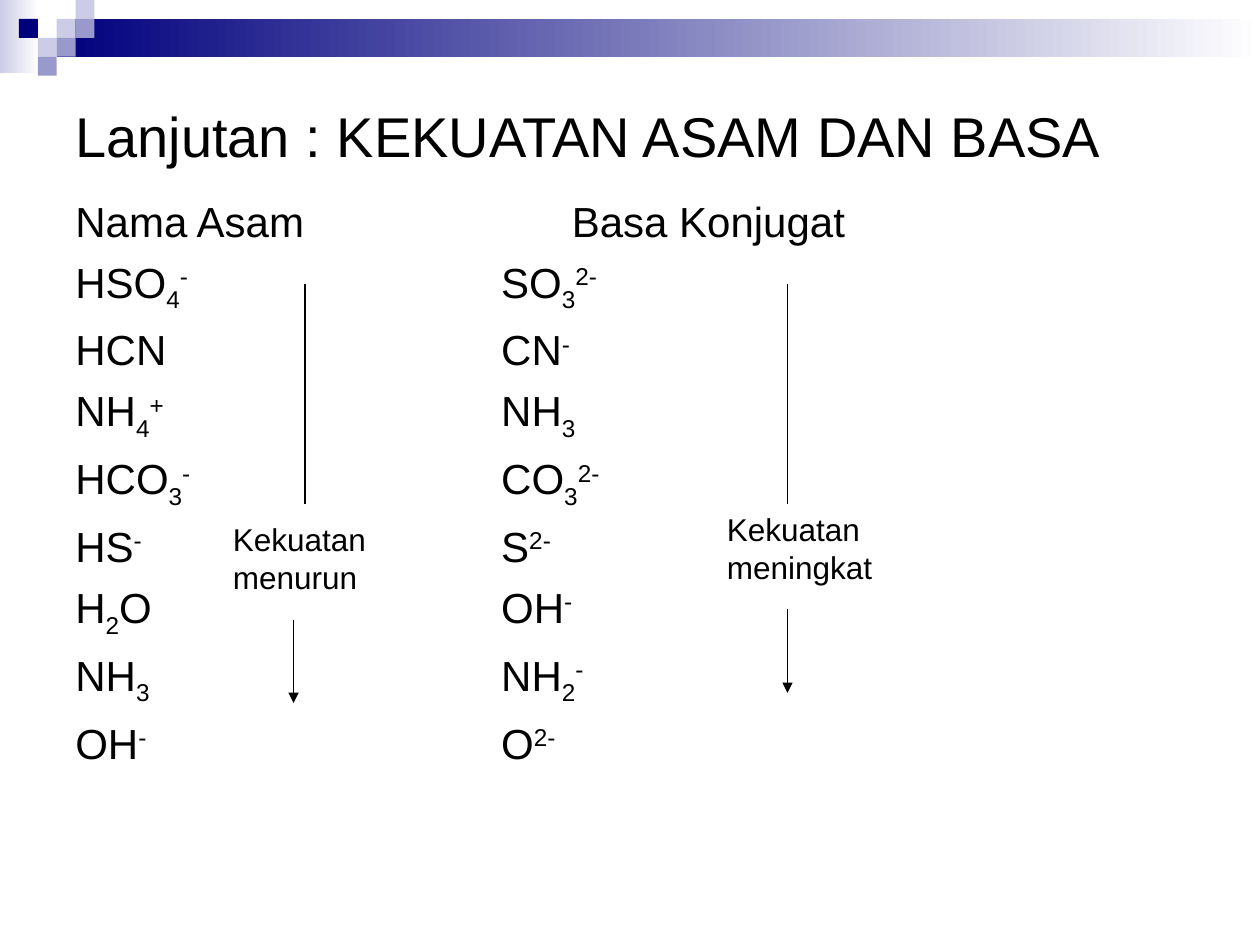
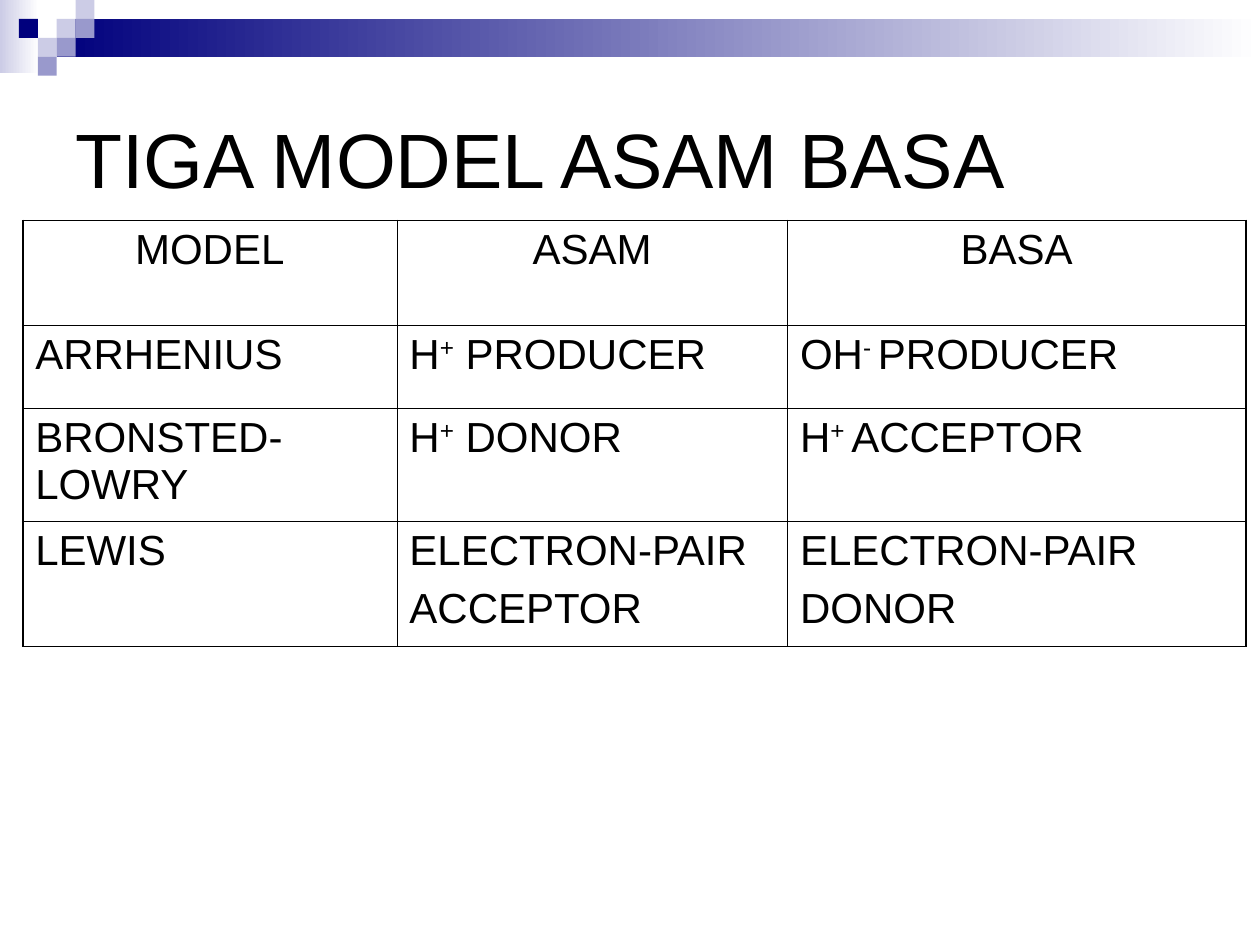
from lxml import etree
from pptx import Presentation, util as u
from pptx.dml.color import RGBColor
from pptx.enum import shapes, text
from pptx.oxml.ns import qn

FONT = "Arial"
COLOURS = {"ink": "000000", "paper": "FFFFFF", "navy": "00007D", "mid": "9999CC", "pale": "CCCCE6"}
SQUARE = 0.15
BANDS = [((0, 0, 0.31, 0.58), "pale"), ((0.45, 0.15, 9.55, 0.3), "navy")]
SQUARES = [(3, 1, "pale"), (4, 0, "pale"), (4, 1, "mid"), (2, 2, "pale"),
           (1, 1, "navy"), (3, 2, "mid"), (2, 3, "mid")]

# "|" separates spans; a leading "_" lowers a span and "^" raises it.
STRENGTH_TITLE = "Lanjutan : KEKUATAN ASAM DAN BASA"
STRENGTH_HEADS = ("Nama Asam", "Basa Konjugat")
PAIRS = [
    ("HSO|_4|^-", "SO|_3|^2-"),
    ("HCN", "CN|^-"),
    ("NH|_4|^+", "NH|_3"),
    ("HCO|_3|^-", "CO|_3|^2-"),
    ("HS|^-", "S|^2-"),
    ("H|_2|O", "OH|^-"),
    ("NH|_3", "NH|_2|^-"),
    ("OH|^-", "O|^2-"),
]
HEAD_TAB, PAIR_TAB = 3.94, 3.38
TRENDS = [
    {"label": "Kekuatan menurun", "box": (1.75, 4.08, 1.33, 0.7),
     "stem": (2.42, 2.25, 4), "arrow": (2.33, 4.92, 5.58)},
    {"label": "Kekuatan meningkat", "box": (5.67, 4, 1.58, 0.7),
     "stem": (6.25, 2.25, 4), "arrow": (6.25, 4.83, 5.5)},
]

MODELS_TITLE = "TIGA MODEL ASAM BASA"
MODELS = [
    ("MODEL", "ASAM", "BASA"),
    ("ARRHENIUS", "H|^+| PRODUCER", "OH|^- |PRODUCER"),
    ("BRONSTED-LOWRY", "H|^+| DONOR", "H|^+ |ACCEPTOR"),
    ("LEWIS", "ELECTRON-PAIR\nACCEPTOR", "ELECTRON-PAIR\nDONOR"),
]
COLUMN_WIDTHS = (2.97, 3.1, 3.64)
ROW_HEIGHTS = (0.83, 0.66, 0.9, 0.99)
INNER_LINE, OUTER_LINE = 0.45, 1.08


def colour(name):
    return RGBColor.from_string(COLOURS[name])


def inches(values):
    return [u.Inches(value) for value in values]


def write(frame, lines, size, **para_format):
    for index, line in enumerate(lines):
        para = frame.paragraphs[0] if index == 0 else frame.add_paragraph()
        for name, value in para_format.items():
            setattr(para, name, value)
        for part in line.split("|"):
            shift = {"_": "-25000", "^": "30000"}.get(part[:1])
            span = para.add_run()
            span.text = part[1:] if shift else part
            for name, value in {"name": FONT, "size": u.Pt(size)}.items():
                setattr(span.font, name, value)
            span.font.color.rgb = colour("ink")
            if shift:
                span.font._element.set("baseline", shift)


def add_text(page, place, lines, size, anchor=text.MSO_ANCHOR.TOP, **para_format):
    frame = page.shapes.add_textbox(*inches(place)).text_frame
    for name, value in {"word_wrap": True, "vertical_anchor": anchor}.items():
        setattr(frame, name, value)
    write(frame, lines, size, **para_format)
    return frame


def add_rectangle(page, place):
    box = page.shapes.add_shape(shapes.MSO_SHAPE.RECTANGLE, *inches(place))
    box.shadow.inherit = False
    box.line.fill.background()
    return box


def add_page(deck, title, height, size):
    page = deck.slides.add_slide(deck.slide_layouts[6])
    for place, start in BANDS:
        fill = add_rectangle(page, place).fill
        fill.gradient()
        fill.gradient_angle = 0
        for stop, name, position in zip(fill.gradient_stops, (start, "paper"), (0, 1)):
            stop.color.rgb = colour(name)
            stop.position = position
    for column, row, name in SQUARES:
        fill = add_rectangle(page, (column * SQUARE, row * SQUARE, SQUARE, SQUARE)).fill
        fill.solid()
        fill.fore_color.rgb = colour(name)
    add_text(page, (0.5, 0.5, 9, height), [title], size, text.MSO_ANCHOR.MIDDLE)
    return page


def add_vertical(page, x, top, bottom, arrowhead=False):
    line = page.shapes.add_connector(shapes.MSO_CONNECTOR.STRAIGHT, *inches((x, top, x, bottom)))
    line.line.color.rgb = colour("ink")
    line.line.width = u.Pt(0.75)
    if arrowhead:
        etree.SubElement(line.line._get_or_add_ln(), qn("a:tailEnd"), type="triangle")
    etree.SubElement(line._element.spPr, qn("a:effectLst"))


def set_tab(para, position):
    tabs = etree.SubElement(para._p.get_or_add_pPr(), qn("a:tabLst"))
    etree.SubElement(tabs, qn("a:tab"), pos=str(u.Inches(position)), algn="l")


def set_borders(cell, widths):
    properties = cell._tc.get_or_add_tcPr()
    for index, (side, width) in enumerate(widths.items()):
        line = etree.Element(qn(f"a:ln{side}"), w=str(u.Pt(width)))
        fill = etree.SubElement(line, qn("a:solidFill"))
        etree.SubElement(fill, qn("a:srgbClr"), val=COLOURS["ink"])
        properties.insert(index, line)


def build_strength(deck):
    page = add_page(deck, STRENGTH_TITLE, 1.14, 32)
    lines = ["|\t|".join(pair) for pair in [STRENGTH_HEADS, *PAIRS]]
    frame = add_text(page, (0.5, 1.5, 9, 5.2), lines, 24, space_before=u.Pt(6))
    for index, para in enumerate(frame.paragraphs):
        set_tab(para, PAIR_TAB if index else HEAD_TAB)
    for trend in TRENDS:
        add_vertical(page, *trend["stem"])
        add_text(page, trend["box"], [trend["label"]], 18, space_before=u.Pt(11.2))
        add_vertical(page, *trend["arrow"], arrowhead=True)


def build_models(deck):
    page = add_page(deck, MODELS_TITLE, 1.5, 44)
    place = (0.18, 1.75, sum(COLUMN_WIDTHS), sum(ROW_HEIGHTS))
    table = page.shapes.add_table(len(MODELS), len(COLUMN_WIDTHS), *inches(place)).table
    for name in ("first_row", "horz_banding"):
        setattr(table, name, False)
    for column, width in zip(table.columns, COLUMN_WIDTHS):
        column.width = u.Inches(width)
    last_row, last_column = len(MODELS) - 1, len(COLUMN_WIDTHS) - 1
    for r, (entries, height) in enumerate(zip(MODELS, ROW_HEIGHTS)):
        table.rows[r].height = u.Inches(height)
        for c, entry in enumerate(entries):
            cell = table.cell(r, c)
            cell.fill.background()
            align = text.PP_ALIGN.LEFT if r else text.PP_ALIGN.CENTER
            write(cell.text_frame, entry.split("\n"), 24, space_before=u.Pt(6), alignment=align)
            edges = {"L": c == 0, "R": c == last_column, "T": r == 0, "B": r == last_row}
            set_borders(cell, {side: OUTER_LINE if outer else INNER_LINE
                               for side, outer in edges.items()})


def main():
    deck = Presentation()
    deck.slide_width, deck.slide_height = inches((10, 7.5))
    build_strength(deck)
    build_models(deck)
    deck.save("out.pptx")


if __name__ == "__main__":
    main()
